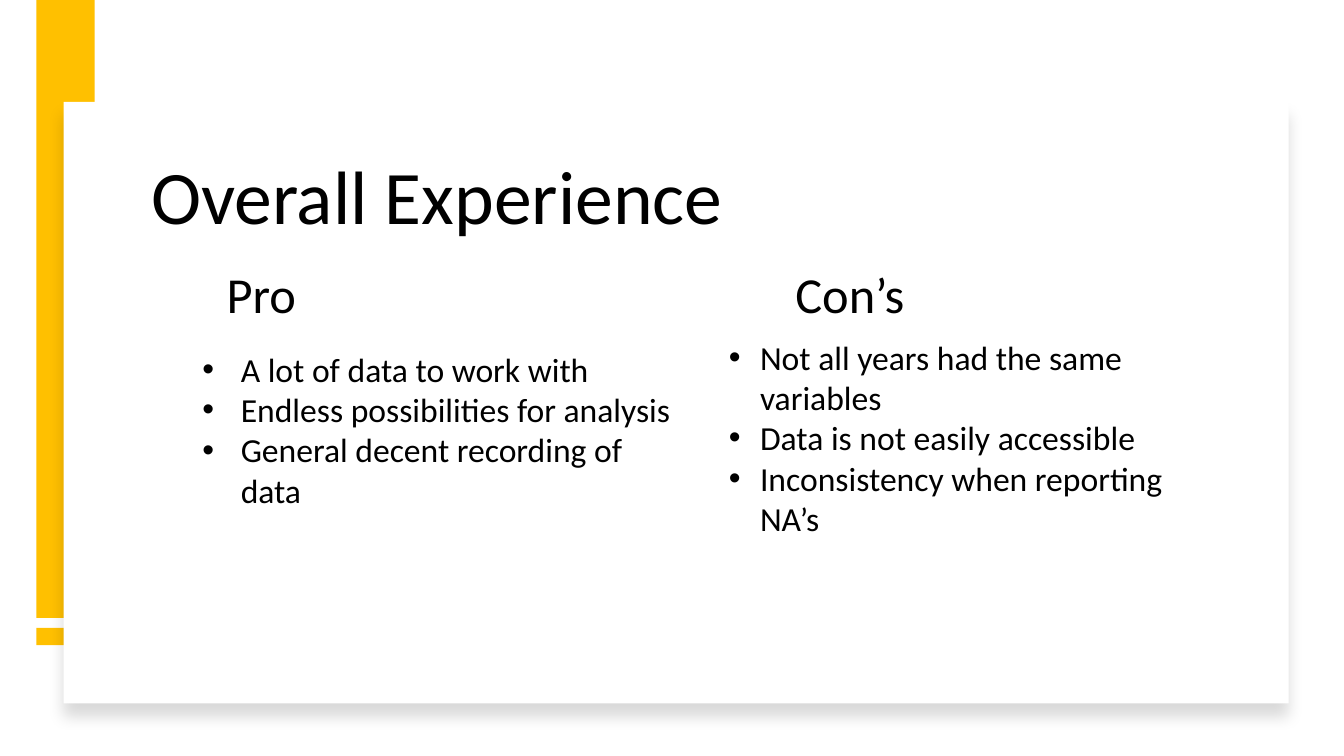
from lxml.etree import SubElement
from pptx import Presentation
from pptx.dml.color import RGBColor
from pptx.enum.shapes import MSO_SHAPE
from pptx.enum.text import MSO_ANCHOR
from pptx.oxml.ns import qn
from pptx.util import Inches, Pt

FONT = "Calibri"
BLACK, WHITE, GOLD = "000000", "FFFFFF", "FFC000"
PROS = ["A lot of data to work with",
        "Endless possibilities for analysis",
        "General decent recording of data"]
CONS = ["Not all years had the same variables",
        "Data is not easily accessible",
        "Inconsistency when reporting NA’s"]


def color(value):
    return RGBColor.from_string(value)


def add_block(page, box, fill):
    block = page.shapes.add_shape(MSO_SHAPE.RECTANGLE, *map(Inches, box))
    block.shadow.inherit = False
    block.fill.solid()
    block.fill.fore_color.rgb = color(fill)
    block.line.fill.background()
    return block


def add_soft_shadow(block):
    effects = block._element.spPr.find(qn("a:effectLst"))
    shadow = SubElement(effects, qn("a:outerShdw"), blurRad=str(Pt(11)),
                        dist=str(Pt(10)), dir="5400000", algn="t", rotWithShape="0")
    tint = SubElement(shadow, qn("a:srgbClr"), val=BLACK)
    SubElement(tint, qn("a:alpha"), val="15000")


def add_text(page, box, lines, size, anchor=MSO_ANCHOR.TOP):
    frame = page.shapes.add_textbox(*map(Inches, box)).text_frame
    frame.word_wrap = True
    frame.vertical_anchor = anchor
    frame.text = "\n".join(lines)
    for para in frame.paragraphs:
        for span in para.runs:
            span.font.name = FONT
            span.font.size = Pt(size)
            span.font.color.rgb = color(BLACK)
    return frame


def add_bullets(frame, indent):
    for para in frame.paragraphs:
        properties = para._p.get_or_add_pPr()
        properties.set("marL", str(Inches(indent)))
        properties.set("indent", str(-Inches(indent)))
        SubElement(properties, qn("a:buFont"), typeface="Arial")
        SubElement(properties, qn("a:buChar"), char="•")


def add_ribbon(page, box):
    left, top, width, height = box
    foot, gap = 0.17, 0.1
    add_block(page, (left, top + height - foot, width, foot), GOLD)
    add_block(page, (left, top, width, height - foot - gap), GOLD)


def add_card(page, box):
    left, top, width, height = box
    add_soft_shadow(add_block(page, box, WHITE))
    title = add_text(page, (left + 0.77, top + 0.34, width - 1.38, 1.09),
                     ["Overall Experience"], 54, MSO_ANCHOR.BOTTOM)
    title.paragraphs[0].line_spacing = 0.9


def add_column(page, box, heading, heading_shift, points, indent):
    left, top, width, height = box
    heading_top = 2.56
    add_text(page, (left + heading_shift, heading_top, 3.9, 0.62), [heading], 36)
    add_bullets(add_text(page, box, points, 24), indent)


def main():
    deck = Presentation()
    deck.slide_width, deck.slide_height = Inches(13.33), Inches(7.5)
    page = deck.slides.add_slide(deck.slide_layouts[6])
    page.background.fill.solid()
    page.background.fill.fore_color.rgb = color(WHITE)
    add_ribbon(page, (0.36, 0, 0.58, 6.4))
    add_card(page, (0.63, 1.01, 12.15, 5.97))
    add_column(page, (1.91, 3.41, 4.86, 2.77), "Pro", 0.24, PROS, 0.38)
    add_column(page, (7.13, 3.29, 4.91, 2.77), "Con’s", 0.66, CONS, 0.31)
    deck.save("out.pptx")


if __name__ == "__main__":
    main()
